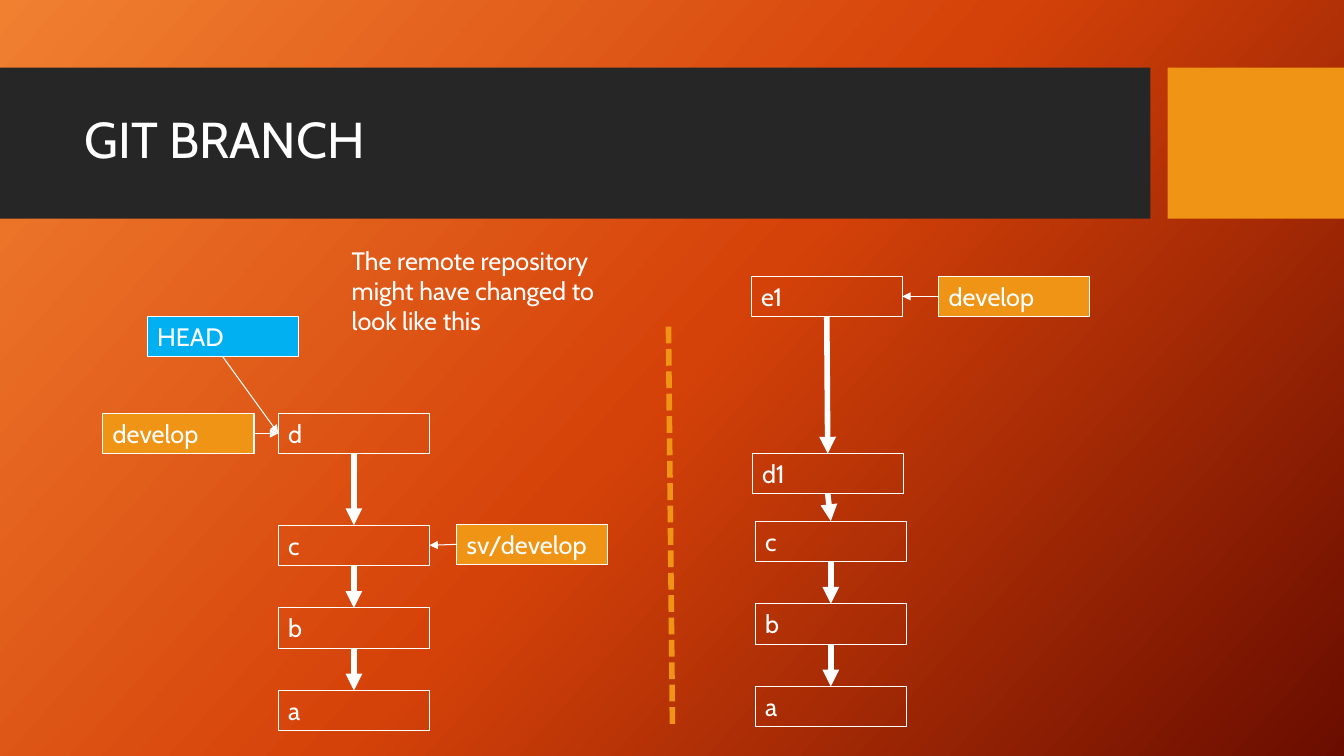
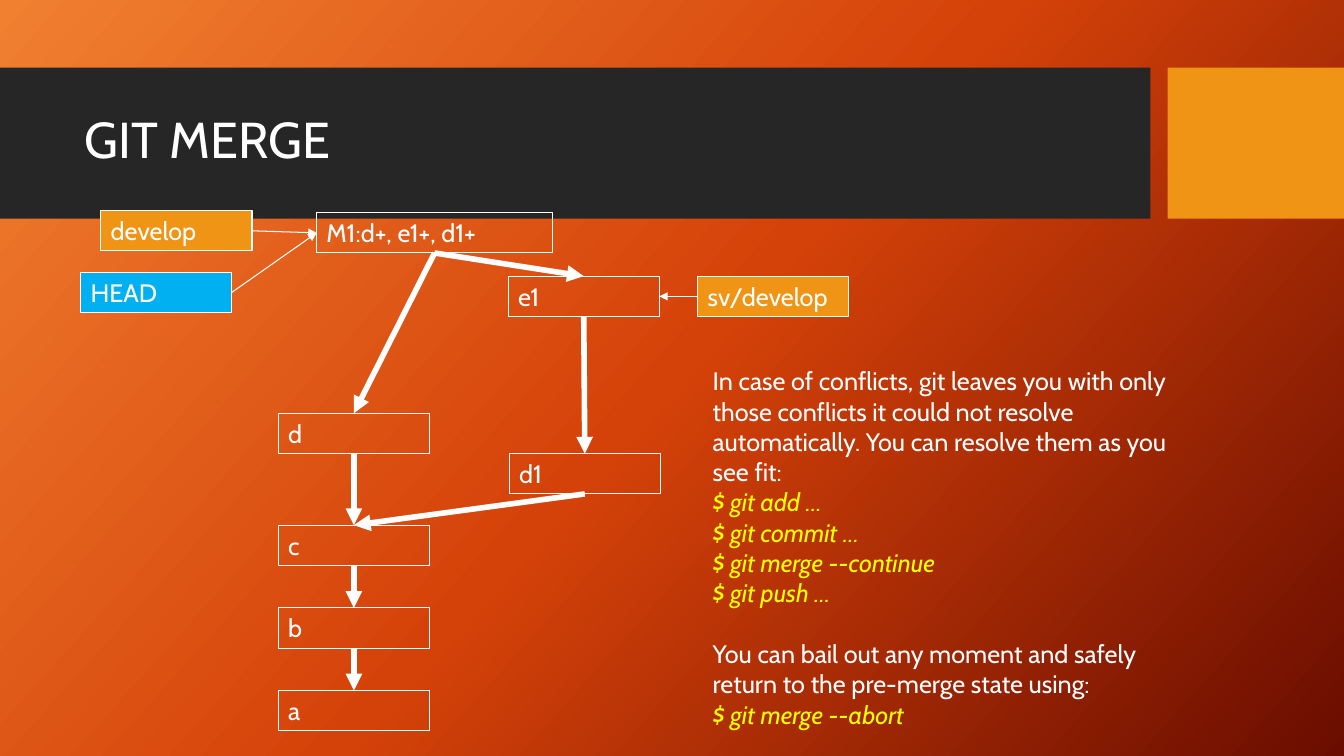
"""Build two slides on git branching and merging with commit graphs."""
from copy import deepcopy
from dataclasses import dataclass

from pptx import Presentation
from pptx.dml.color import RGBColor
from pptx.enum.dml import MSO_LINE
from pptx.enum.shapes import MSO_CONNECTOR, MSO_SHAPE
from pptx.enum.text import MSO_ANCHOR, MSO_AUTO_SIZE, PP_ALIGN
from pptx.oxml.ns import qn
from pptx.util import Inches, Pt
from lxml.etree import SubElement


@dataclass(frozen=True)
class Theme:
    """Colours, font, type sizes and line weights of the deck."""
    white: str = "FFFFFF"
    band: str = "262626"
    accent: str = "F09415"
    head: str = "00B0F0"
    command: str = "FFFF00"
    gradient: tuple = ("F18031", "D54209", "6A0D00")
    gradient_angle: int = 42
    font: str = "Cabin"
    title_size: int = 36
    body_size: int = 18
    blank_line: int = 22
    thin: float = 0.75
    thick: float = 4


THEME = Theme()
WIDTH, HEIGHT = 13.33, 7.5
BOX_WIDTH, BOX_HEIGHT = 1.5, 0.4
ROW = 0.82
TOP, LEFT, BOTTOM, RIGHT = range(4)
BANDS = [((0, 0.67, 11.41, 1.5), THEME.band), ((11.58, 0.67, 1.75, 1.5), THEME.accent)]
TITLE_AREA = (0.74, 0.82, 10.51, 1.18)


def trunk(prefix, left, base):
    """Return the commits a, b and c stacked upwards at equal steps."""
    return {prefix + name: (name, left, base - ROW * step) for step, name in enumerate("abc")}


LOCAL = {**trunk("", 2.76, 6.85), "d": ("d", 2.76, 4.1)}
LOCAL_HISTORY = [("d", "c"), ("c", "b"), ("b", "a")]

SLIDES = [
    {
        "title": "GIT BRANCH",
        "commits": {
            **LOCAL,
            **trunk("remote ", 7.49, 6.81),
            "d1": ("d1", 7.46, 4.5),
            "e1": ("e1", 7.45, 2.74),
        },
        "labels": {
            "develop": ("develop", 1.02, 4.1),
            "tracking": ("sv/develop", 4.53, 5.2),
            "HEAD": ("HEAD", 1.46, 3.14),
            "remote develop": ("develop", 9.31, 2.74),
        },
        "history": LOCAL_HISTORY + [
            ("e1", "d1"), ("d1", "remote c"),
            ("remote c", "remote b"), ("remote b", "remote a"),
        ],
        "pointers": [
            ("develop", RIGHT, "d", LEFT),
            ("tracking", LEFT, "c", RIGHT),
            ("HEAD", BOTTOM, "d", LEFT),
            ("remote develop", LEFT, "e1", RIGHT),
        ],
        "note_area": (3.39, 2.38, 2.82, 1.01),
        "note": ["The remote repository might have changed to look like this"],
        "divider": (6.63, 3.24, 6.67, 7.22),
    },
    {
        "title": "GIT MERGE",
        "commits": {
            **LOCAL,
            "M1": ("M1:d+, e1+, d1+", 3.14, 2.11, 2.34),
            "d1": ("d1", 5.05, 4.5),
            "e1": ("e1", 5.04, 2.74),
        },
        "labels": {
            "develop": ("develop", 1, 2.09),
            "HEAD": ("HEAD", 0.8, 2.7),
            "tracking": ("sv/develop", 6.92, 2.74),
        },
        "history": LOCAL_HISTORY + [("M1", "d"), ("M1", "e1"), ("e1", "d1"), ("d1", "c")],
        "pointers": [
            ("develop", RIGHT, "M1", LEFT),
            ("HEAD", RIGHT, "M1", LEFT),
            ("tracking", LEFT, "e1", RIGHT),
        ],
        "note_area": (6.97, 3.58, 5.03, 3.74),
        "note": [
            "In case of conflicts, git leaves you with only those conflicts it could not "
            "resolve automatically. You can resolve them as you see fit:",
            "$ git add …",
            "$ git commit …",
            "$ git merge --continue",
            "$ git push …",
            "You can bail out any moment and safely return to the pre-merge state using:",
            "$ git merge --abort",
        ],
    },
]


def rgb(value):
    return RGBColor.from_string(value)


def inches(values):
    return [Inches(value) for value in values]


def set_background(master):
    fill = master.background.fill
    fill.gradient()
    fill.gradient_angle = 360 - THEME.gradient_angle
    stops = master.element.find(".//" + qn("p:bg")).find(".//" + qn("a:gsLst"))
    stops.append(deepcopy(stops[-1]))
    for index, (stop, colour) in enumerate(zip(fill.gradient_stops, THEME.gradient)):
        stop.position = index / (len(THEME.gradient) - 1)
        stop.color.rgb = rgb(colour)


def style_text(para, size, colour=THEME.white, italic=False):
    para.alignment = PP_ALIGN.LEFT
    for span in para.runs:
        font = span.font
        font.name, font.size, font.italic = THEME.font, Pt(size), italic
        font.color.rgb = rgb(colour)


def add_box(page, area, fill=None, outlined=False):
    box = page.shapes.add_shape(MSO_SHAPE.RECTANGLE, *inches(area))
    box.shadow.inherit = False
    if fill:
        box.fill.solid()
        box.fill.fore_color.rgb = rgb(fill)
    else:
        box.fill.background()
    if outlined:
        box.line.color.rgb = rgb(THEME.white)
        box.line.width = Pt(THEME.thin)
    else:
        box.line.fill.background()
    return box


def add_node(page, text, left, top, width=BOX_WIDTH, fill=None):
    box = add_box(page, (left, top, width, BOX_HEIGHT), fill, outlined=True)
    frame = box.text_frame
    frame.text = text
    frame.word_wrap = True
    frame.auto_size = MSO_AUTO_SIZE.SHAPE_TO_FIT_TEXT
    frame.vertical_anchor = MSO_ANCHOR.TOP
    style_text(frame.paragraphs[0], THEME.body_size)
    return box


def add_line(page, ends, colour, weight):
    line = page.shapes.add_connector(MSO_CONNECTOR.STRAIGHT, *inches(ends))
    line.line.color.rgb = rgb(colour)
    line.line.width = Pt(weight)
    SubElement(line.element.spPr, qn("a:effectLst"))
    return line


def add_arrow(page, start, start_side, end, end_side, weight):
    arrow = add_line(page, (0, 0, 0, 0), THEME.white, weight)
    arrow.begin_connect(start, start_side)
    arrow.end_connect(end, end_side)
    SubElement(arrow.line._get_or_add_ln(), qn("a:tailEnd"), type="triangle")


def add_title(page, text):
    frame = page.shapes.add_textbox(*inches(TITLE_AREA)).text_frame
    frame.text = text
    frame.word_wrap = True
    frame.vertical_anchor = MSO_ANCHOR.MIDDLE
    frame.paragraphs[0].line_spacing = 0.9
    style_text(frame.paragraphs[0], THEME.title_size)


def add_note(page, area, lines):
    frame = page.shapes.add_textbox(*inches(area)).text_frame
    frame.text = "\n".join(lines)
    frame.word_wrap = True
    frame.auto_size = MSO_AUTO_SIZE.SHAPE_TO_FIT_TEXT
    after_command = False
    for para in frame.paragraphs:
        command = para.text.startswith("$")
        if after_command and not command:
            para.space_before = Pt(THEME.blank_line)
        style_text(para, THEME.body_size, THEME.command if command else THEME.white, command)
        after_command = command


def build_slide(deck, content):
    page = deck.slides.add_slide(deck.slide_layouts[6])
    for area, colour in BANDS:
        add_box(page, area, colour)
    add_title(page, content["title"])
    nodes = {key: add_node(page, *node) for key, node in content["commits"].items()}
    for key, label in content["labels"].items():
        fill = THEME.head if key == "HEAD" else THEME.accent
        nodes[key] = add_node(page, *label, fill=fill)
    for newer, older in content["history"]:
        add_arrow(page, nodes[newer], BOTTOM, nodes[older], TOP, THEME.thick)
    for label, label_side, commit, commit_side in content["pointers"]:
        add_arrow(page, nodes[label], label_side, nodes[commit], commit_side, THEME.thin)
    add_note(page, content["note_area"], content["note"])
    if "divider" in content:
        divider = add_line(page, content["divider"], THEME.accent, THEME.thick)
        divider.line.dash_style = MSO_LINE.SQUARE_DOT


def main():
    deck = Presentation()
    deck.slide_width, deck.slide_height = inches((WIDTH, HEIGHT))
    set_background(deck.slide_master)
    for content in SLIDES:
        build_slide(deck, content)
    deck.save("out.pptx")


if __name__ == "__main__":
    main()
